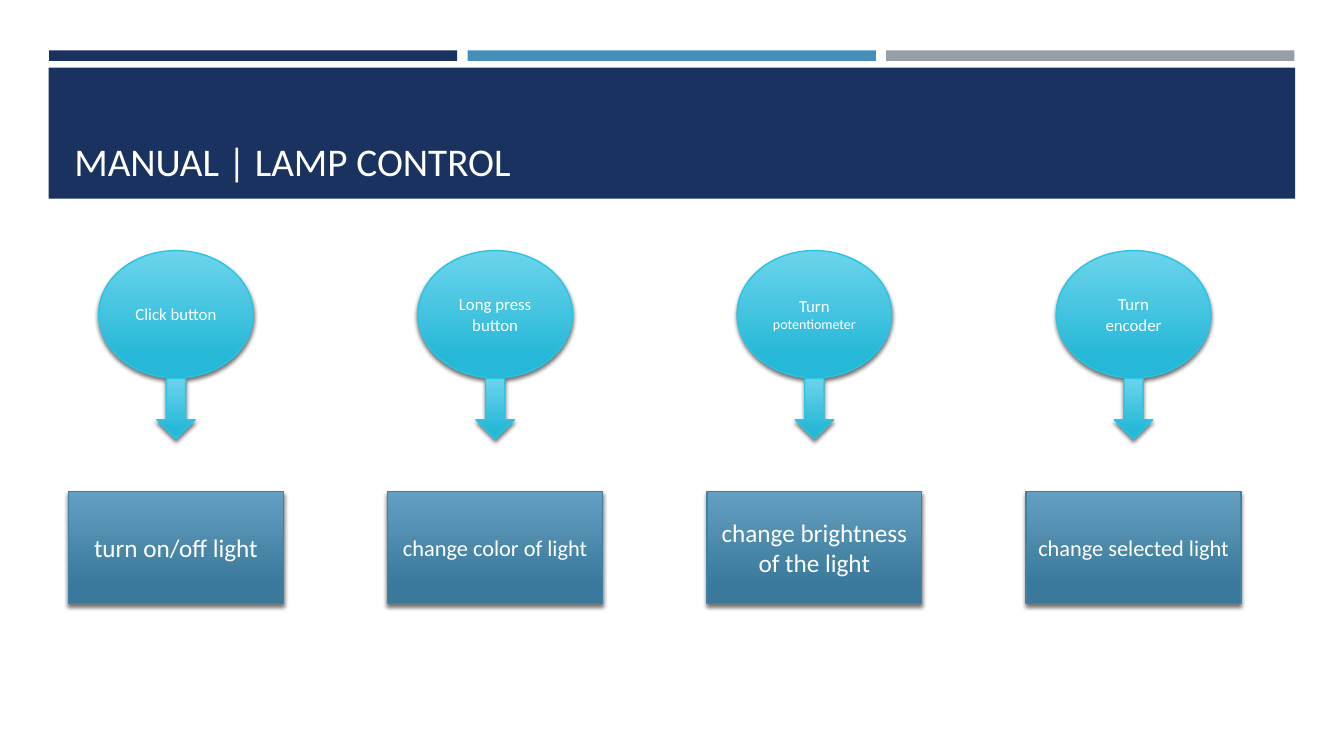
from dataclasses import dataclass

import pptx
import pptx.dml.color
import pptx.enum.shapes
import pptx.enum.text
import pptx.oxml
import pptx.oxml.ns
import pptx.shapes.autoshape
import pptx.slide
import pptx.text.text
import pptx.util

Pt = pptx.util.Pt
RGBColor = pptx.dml.color.RGBColor
Kind = pptx.enum.shapes.MSO_SHAPE
Anchor = pptx.enum.text.MSO_ANCHOR
Align = pptx.enum.text.PP_ALIGN

WHITE = RGBColor(0xFF, 0xFF, 0xFF)
NAVY = RGBColor(0x1A, 0x32, 0x60)
BLUE = RGBColor(0x45, 0x90, 0xB8)
GREY = RGBColor(0x96, 0x9F, 0xA7)

COLUMN_CENTER, COLUMN_PITCH = 125.7, 228
BAR_LEFT, BAR_PITCH = 35, 299

SHADOW_XML = (
    f'<a:outerShdw {pptx.oxml.ns.nsdecls("a")} blurRad="{Pt(3)}" dist="{Pt(2)}" '
    'dir="5400000" rotWithShape="0"><a:srgbClr val="000000">'
    '<a:alpha val="55000"/></a:srgbClr></a:outerShdw>'
)


@dataclass(frozen=True)
class Box:
    left: float
    top: float
    width: float
    height: float

    def lengths(self) -> list[pptx.util.Length]:
        return [Pt(n) for n in (self.left, self.top, self.width, self.height)]


@dataclass(frozen=True)
class Glossy:
    """Vertical gradient with an outline."""
    start: RGBColor
    end: RGBColor
    outline: RGBColor


@dataclass(frozen=True)
class Run:
    text: str
    size: float


@dataclass(frozen=True)
class Control:
    """A user action and what it does."""
    action: tuple[Run, ...]
    effect: Run


CYAN = Glossy(RGBColor(0x6B, 0xD4, 0xEC), RGBColor(0x26, 0xB8, 0xD7),
              RGBColor(0x2A, 0xC4, 0xE5))
STEEL = Glossy(RGBColor(0x63, 0x9F, 0xC1), RGBColor(0x3A, 0x79, 0x9B),
               RGBColor(0x3E, 0x82, 0xA6))

CONTROLS = (
    Control((Run("Click button", 12),), Run("turn on/off light", 18)),
    Control((Run("Long press button", 12),), Run("change color of light", 16)),
    Control((Run("Turn", 12), Run(" potentiometer", 10)),
            Run("change brightness of the light", 18)),
    Control((Run("Turn encoder", 12),), Run("change selected light", 16)),
)


def write(frame: pptx.text.text.TextFrame, runs: tuple[Run, ...],
          anchor: Anchor, align: Align) -> None:
    for name, value in {"word_wrap": True, "vertical_anchor": anchor}.items():
        setattr(frame, name, value)
    paragraph = frame.paragraphs[0]
    paragraph.alignment = align
    for item in runs:
        run = paragraph.add_run()
        run.text = item.text
        for name, value in {"name": "Calibri", "size": Pt(item.size)}.items():
            setattr(run.font, name, value)
        run.font.color.rgb = WHITE


def add_flat(slide: pptx.slide.Slide, box: Box, color: RGBColor) -> None:
    block = slide.shapes.add_shape(Kind.RECTANGLE, *box.lengths())
    block.shadow.inherit = False
    block.fill.solid()
    block.fill.fore_color.rgb = color
    block.line.fill.background()


def add_glossy(slide: pptx.slide.Slide, kind: Kind, box: Box, look: Glossy,
               runs: tuple[Run, ...] = ()) -> None:
    step = slide.shapes.add_shape(kind, *box.lengths())
    step.fill.gradient()
    step.fill.gradient_angle = 270
    stops = ((0, look.start), (0.84, look.end))
    for stop, (position, color) in zip(step.fill.gradient_stops, stops):
        stop.position = position
        stop.color.rgb = color
    step.line.color.rgb = look.outline
    step.line.width = Pt(1)
    # Soft shadow below the shape
    step.shadow.inherit = False
    effects = step._element.spPr.find(pptx.oxml.ns.qn("a:effectLst"))
    effects.append(pptx.oxml.parse_xml(SHADOW_XML))
    if runs:
        write(step.text_frame, runs, Anchor.MIDDLE, Align.CENTER)


def centered(center: float, top: float, width: float, height: float) -> Box:
    return Box(center - width / 2, top, width, height)


def main() -> None:
    deck = pptx.Presentation()
    deck.slide_width, deck.slide_height = Pt(960), Pt(540)
    slide = deck.slides.add_slide(deck.slide_layouts[6])

    # Header bars and title banner
    for index, color in enumerate((NAVY, BLUE, GREY)):
        add_flat(slide, Box(BAR_LEFT + index * BAR_PITCH, 36, 291.6, 7.5), color)
    add_flat(slide, Box(34.8, 48.4, 890.4, 93.6), NAVY)
    title = slide.shapes.add_textbox(*Box(46, 55.4, 868, 80).lengths())
    write(title.text_frame, (Run("MANUAL | LAMP CONTROL", 28),),
          Anchor.BOTTOM, Align.LEFT)

    # One column per control: action, arrow, effect
    for index, control in enumerate(CONTROLS):
        center = COLUMN_CENTER + index * COLUMN_PITCH
        add_glossy(slide, Kind.OVAL, centered(center, 179, 110.4, 91),
                   CYAN, control.action)
        add_glossy(slide, Kind.RECTANGLE, centered(center, 351, 153.4, 80),
                   STEEL, (control.effect,))
        add_glossy(slide, Kind.DOWN_ARROW, centered(center, 270.4, 27.4, 43.2), CYAN)

    deck.save("out.pptx")


if __name__ == "__main__":
    main()
